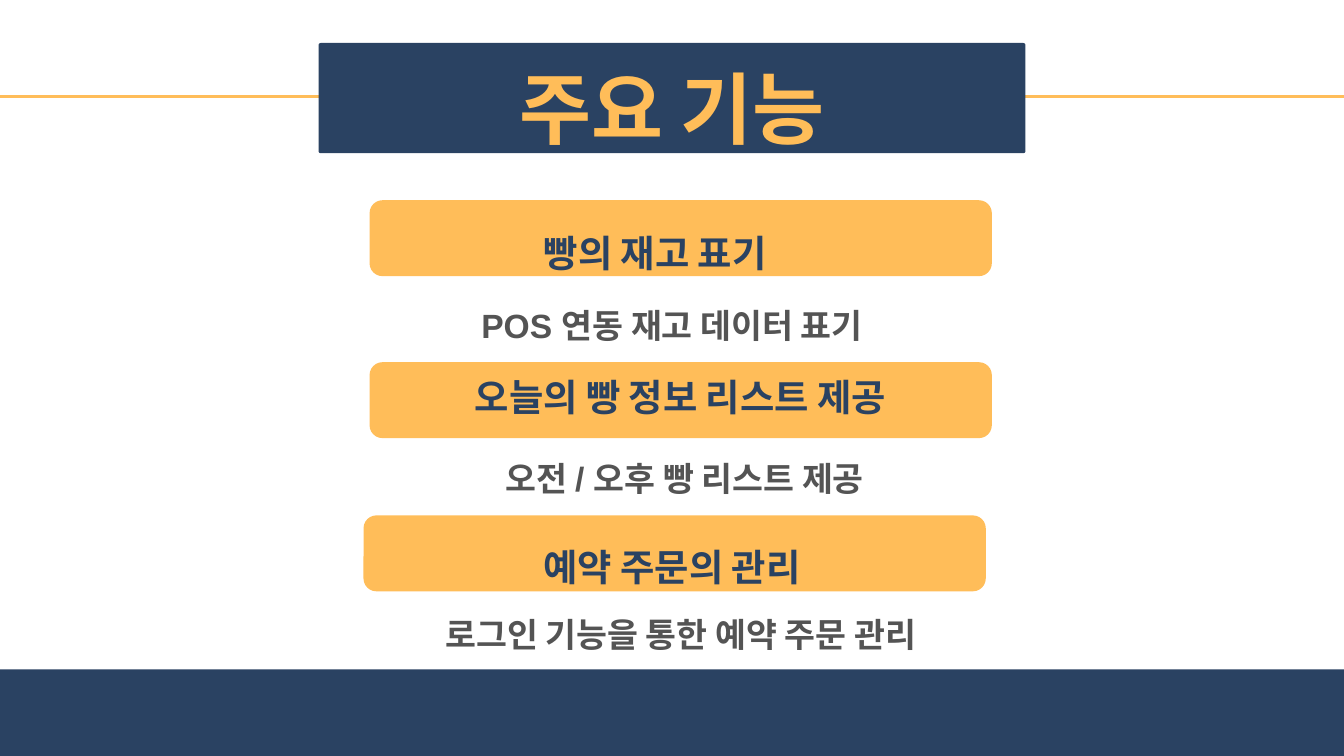
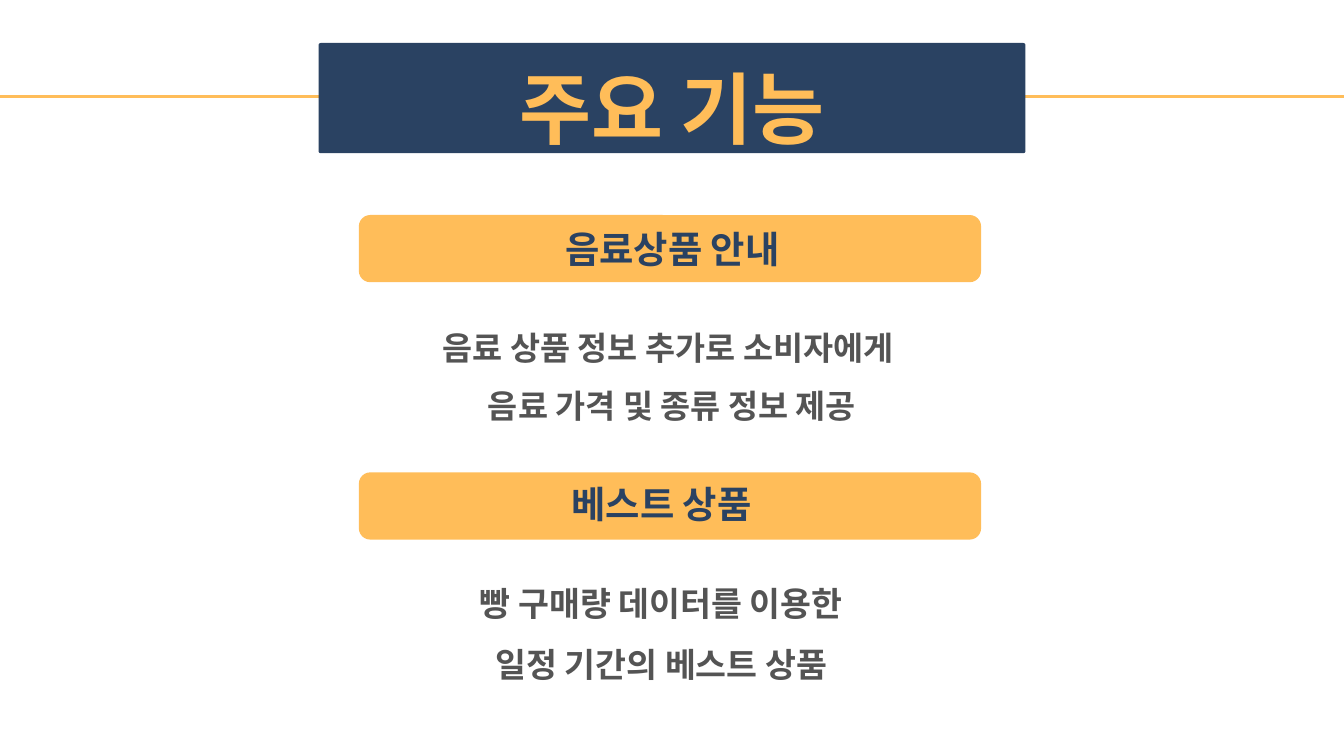
from pptx import Presentation
from pptx import util as u
from pptx.dml.color import RGBColor
from pptx.enum import shapes, text
from pptx.oxml.ns import qn
from lxml import etree

NAVY = RGBColor(0x2A, 0x42, 0x62)
AMBER = RGBColor(0xFF, 0xBD, 0x59)
GRAY = RGBColor(0x54, 0x54, 0x54)
KOREAN = "Noto Sans CJK KR"

WIDTH, HEIGHT = 20, 11.25
TITLE_ONLY = 5
HEADING = {"name": KOREAN, "size": u.Pt(40), "color": NAVY}
DETAIL = {"name": "Arial", "size": u.Pt(36), "color": GRAY}
TIGHT = u.Pt(44.6)
FRAME = {
    "margin_left": 0, "margin_top": 0, "margin_right": 0, "margin_bottom": 0,
    "word_wrap": True,
    "auto_size": text.MSO_AUTO_SIZE.SHAPE_TO_FIT_TEXT,
    "vertical_anchor": text.MSO_ANCHOR.TOP,
}


class FeatureDeck:
    """Holds the shared style and the slide being built."""

    def __init__(self):
        self.deck = Presentation()
        self.deck.slide_width = u.Inches(WIDTH)
        self.deck.slide_height = u.Inches(HEIGHT)
        self.page = None

    def start_page(self, title, title_font):
        self.page = self.deck.slides.add_slide(self.deck.slide_layouts[TITLE_ONLY])
        self.rule(1.44)
        self.block(4.74, 0.64, 10.52, 1.64, NAVY, corner=0.02)
        box = self.page.shapes.title
        # Bring the title in front of its banner
        box.element.getparent().append(box.element)
        box.left, box.top = u.Inches(5.09), u.Inches(0.66)
        box.width, box.height = u.Inches(9.82), u.Inches(1.5)
        style = {"name": title_font, "size": u.Pt(83.8), "color": AMBER}
        self.fill_text(box, [title], style, u.Pt(117.3))

    def rule(self, top):
        line = self.page.shapes.add_connector(
            shapes.MSO_CONNECTOR.STRAIGHT,
            0, u.Inches(top), u.Inches(WIDTH), u.Inches(top))
        line.line.color.rgb = AMBER
        line.line.width = u.Pt(3)
        etree.SubElement(line.element.find(qn("p:spPr")), qn("a:effectLst"))

    def block(self, left, top, width, height, color, corner=None):
        """Filled rectangle, with rounded corners if corner is given."""
        kind = shapes.MSO_SHAPE.ROUNDED_RECTANGLE if corner else shapes.MSO_SHAPE.RECTANGLE
        shape = self.page.shapes.add_shape(
            kind, u.Inches(left), u.Inches(top), u.Inches(width), u.Inches(height))
        if corner:
            shape.adjustments[0] = corner
        shape.shadow.inherit = False
        shape.fill.solid()
        shape.fill.fore_color.rgb = color
        shape.line.fill.background()

    def pill(self, left, top, height):
        self.block(left, top, 9.26, height, AMBER, corner=0.17)

    def label(self, left, top, width, height, lines, style, spacing):
        box = self.page.shapes.add_textbox(
            u.Inches(left), u.Inches(top), u.Inches(width), u.Inches(height))
        self.fill_text(box, lines, style, spacing)

    def heading(self, left, top, line):
        self.label(left, top, 13.69, 0.63, [line], HEADING, TIGHT)

    def loose_heading(self, left, top, line):
        self.label(left, top, 15.04, 1.13, [line], HEADING, 2.0)

    def detail(self, left, top, *lines, size=36):
        style = {**DETAIL, "size": u.Pt(size)}
        self.label(left, top, 17.46, 0.82 * len(lines), lines, style, 1.5)

    def fill_text(self, box, lines, style, spacing):
        frame = box.text_frame
        for name, value in FRAME.items():
            setattr(frame, name, value)
        for index, line in enumerate(lines):
            para = frame.add_paragraph() if index else frame.paragraphs[0]
            para.alignment = text.PP_ALIGN.CENTER
            para.line_spacing = spacing
            span = para.add_run()
            span.text = line
            font_format = {"name": style["name"], "size": style["size"], "bold": True}
            for name, value in font_format.items():
                setattr(span.font, name, value)
            span.font.color.rgb = style["color"]


def main():
    show = FeatureDeck()

    # Stock, daily list and reservations
    show.start_page("주요 기능", "Calibri")
    show.block(0, 9.96, WIDTH, HEIGHT - 9.96, NAVY)
    for left, top in ((5.5, 2.98), (5.5, 5.39), (5.41, 7.67)):
        show.pill(left, top, 1.13)
    show.loose_heading(2.23, 2.76, "빵의 재고 표기")
    show.heading(3.28, 5.62, "오늘의 빵 정보 리스트 제공")
    show.loose_heading(2.48, 7.43, "예약 주문의 관리")
    show.detail(1.27, 4.23, "POS 연동 재고 데이터 표기")
    show.detail(1.46, 6.51, "오전 / 오후 빵 리스트 제공")
    show.detail(1.4, 8.83, "로그인 기능을 통한 예약 주문 관리")

    # Drinks and best sellers
    show.start_page("주요 기능", KOREAN)
    for top in (3.2, 7.03):
        show.pill(5.34, top, 1)
    show.heading(3.16, 3.41, "음료상품 안내")
    show.detail(1.27, 4.58, "음료 상품 정보 추가로 소비자에게 ",
                "음료 가격 및 종류 정보 제공", size=35)
    show.heading(3, 7.21, "베스트 상품")
    show.detail(1.11, 8.38, "빵 구매량 데이터를 이용한", "일정 기간의 베스트 상품")

    show.deck.save("out.pptx")


if __name__ == "__main__":
    main()
